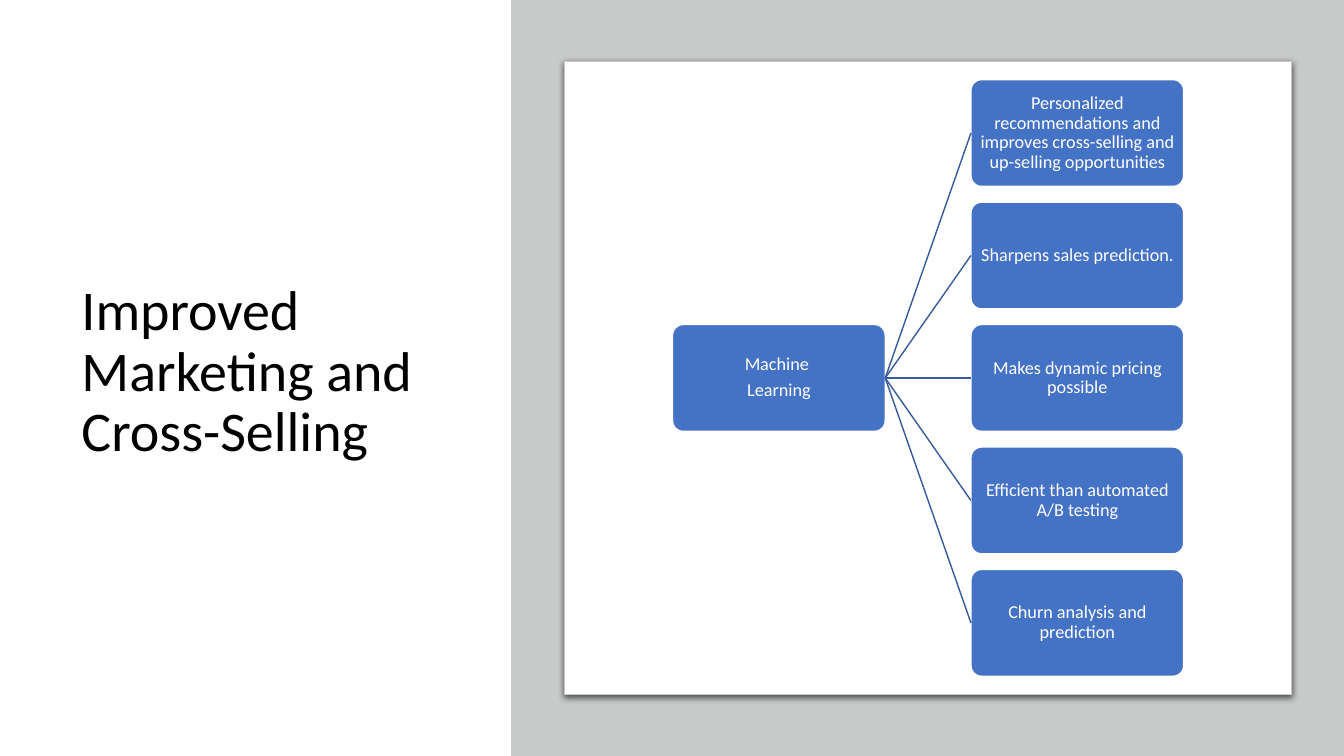
from dataclasses import dataclass

from lxml import etree
from pptx import Presentation
from pptx.dml.color import RGBColor
from pptx.enum.shapes import MSO_CONNECTOR, MSO_SHAPE
from pptx.enum.text import MSO_ANCHOR, PP_ALIGN
from pptx.oxml.ns import qn
from pptx.util import Inches, Pt

STRAIGHT = MSO_CONNECTOR.STRAIGHT
RECT, ROUNDED = MSO_SHAPE.RECTANGLE, MSO_SHAPE.ROUNDED_RECTANGLE
MIDDLE = MSO_ANCHOR.MIDDLE
LEFT, CENTER = PP_ALIGN.LEFT, PP_ALIGN.CENTER


@dataclass(frozen=True)
class Theme:
    font: str = "Calibri"
    title_size: float = 40
    node_size: float = 13
    black: str = "000000"
    white: str = "FFFFFF"
    gray: str = "C8CACA"
    blue: str = "4472C4"
    link: str = "365B9D"


class SlideBuilder:
    def __init__(self, slide, theme):
        self.shapes = slide.shapes
        self.theme = theme

    def set_text(self, sp, lines, size, color, align, inset, after=0):
        tf = sp.text_frame
        tf.word_wrap = True
        tf.vertical_anchor = MIDDLE
        tf.margin_left = tf.margin_right = Inches(inset)
        tf.margin_top = tf.margin_bottom = Inches(min(inset, 0.05))
        tf.text = "\n".join(lines)
        for p in tf.paragraphs:
            p.alignment = align
            p.line_spacing = 0.9
            p.space_after = Pt(after)
            p.font.name = self.theme.font
            p.font.size = Pt(size)
            p.font.color.rgb = RGBColor.from_string(color)

    def title(self, text, x, y, w, h):
        sp = self.shapes.add_textbox(Inches(x), Inches(y), Inches(w), Inches(h))
        self.set_text(sp, [text], self.theme.title_size, self.theme.black, LEFT, 0.1)

    def box(self, kind, x, y, w, h, fill, line=None, weight=1):
        sp = self.shapes.add_shape(kind, Inches(x), Inches(y), Inches(w), Inches(h))
        sp.shadow.inherit = False
        sp.fill.solid()
        sp.fill.fore_color.rgb = RGBColor.from_string(fill)
        if line:
            sp.line.color.rgb = RGBColor.from_string(line)
            sp.line.width = Pt(weight)
        else:
            sp.line.fill.background()
        return sp

    def card(self, x, y, w, h):
        sp = self.box(RECT, x, y, w, h, self.theme.white, self.theme.gray, 0.75)
        effects = sp._element.spPr.find(qn("a:effectLst"))
        shadow = etree.SubElement(
            effects, qn("a:outerShdw"), blurRad=str(Pt(4.5)), dist=str(Pt(1.5)),
            dir="5400000", algn="ctr", rotWithShape="0")
        color = etree.SubElement(shadow, qn("a:srgbClr"), val=self.theme.black)
        etree.SubElement(color, qn("a:alpha"), val="63000")

    def node(self, lines, x, y, w, h):
        sp = self.box(ROUNDED, x, y, w, h, self.theme.blue, self.theme.white)
        sp.adjustments[0] = 0.1
        self.set_text(sp, lines, self.theme.node_size, self.theme.white, CENTER, 0.01, 4.55)
        return sp

    def link(self, start, end):
        line = self.shapes.add_connector(STRAIGHT, 0, 0, 0, 0)
        line.begin_connect(start, 3)
        line.end_connect(end, 1)
        line.line.color.rgb = RGBColor.from_string(self.theme.link)
        line.line.width = Pt(1)
        etree.SubElement(line._element.spPr, qn("a:effectLst"))


BENEFITS = [
    "Personalized recommendations and improves cross-selling and up-selling opportunities",
    "Sharpens sales prediction.",
    "Makes dynamic pricing possible",
    "Efficient than automated A/B testing",
    "Churn analysis and prediction",
]
NODE_W, NODE_H = 2.11, 1.06
ROOT_X, BENEFIT_X = 6.67, 9.63
TOP, BOTTOM = 0.79, 5.65
PITCH = (BOTTOM - TOP) / (len(BENEFITS) - 1)


def main():
    prs = Presentation()
    prs.slide_width, prs.slide_height = Inches(13.33), Inches(7.5)
    theme = Theme()
    s = SlideBuilder(prs.slides.add_slide(prs.slide_layouts[6]), theme)

    s.title("Improved Marketing and Cross-Selling", 0.71, 0.69, 4.01, 6.02)
    s.box(RECT, 5.07, 0, 8.26, 7.5, theme.gray)
    s.card(5.6, 0.61, 7.21, 6.28)

    root = s.node(["Machine ", "Learning"], ROOT_X, (TOP + BOTTOM) / 2, NODE_W, NODE_H)
    for i, benefit in enumerate(BENEFITS):
        sp = s.node([benefit], BENEFIT_X, TOP + i * PITCH, NODE_W, NODE_H)
        s.link(root, sp)

    prs.save("out.pptx")


if __name__ == "__main__":
    main()
